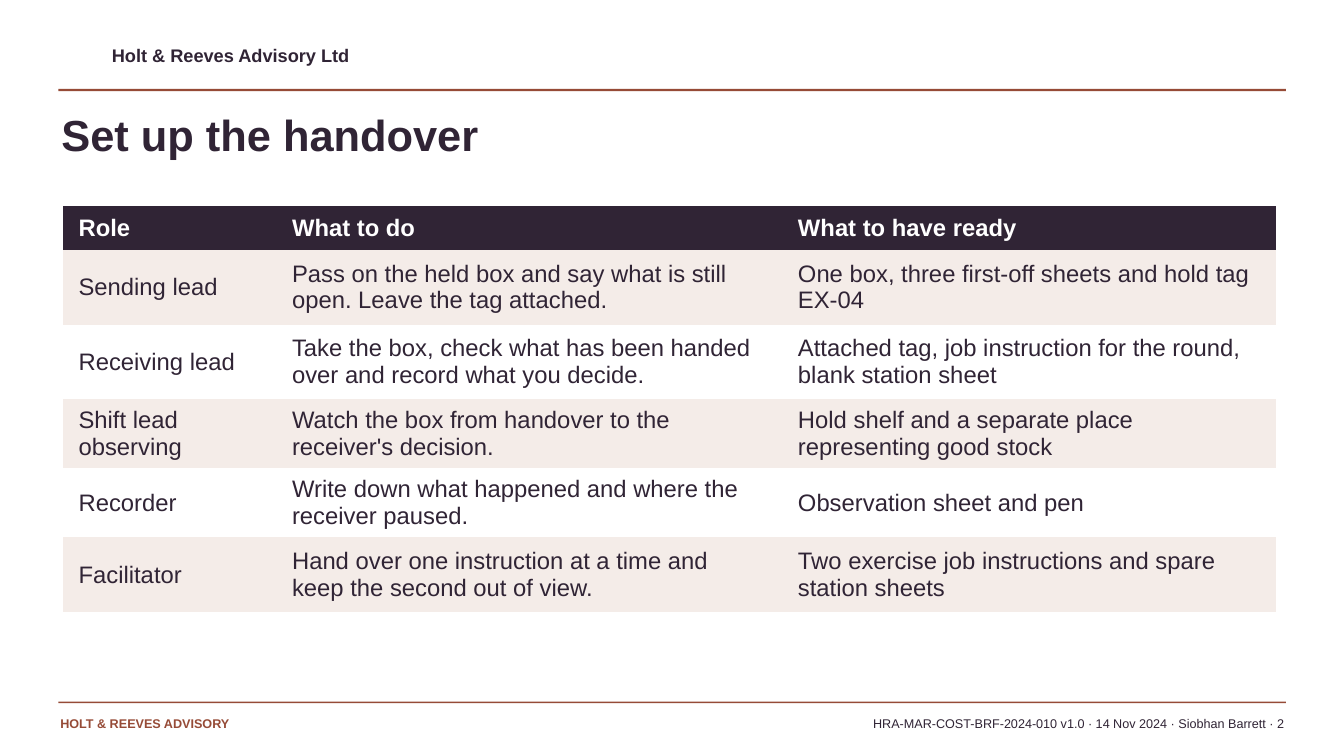
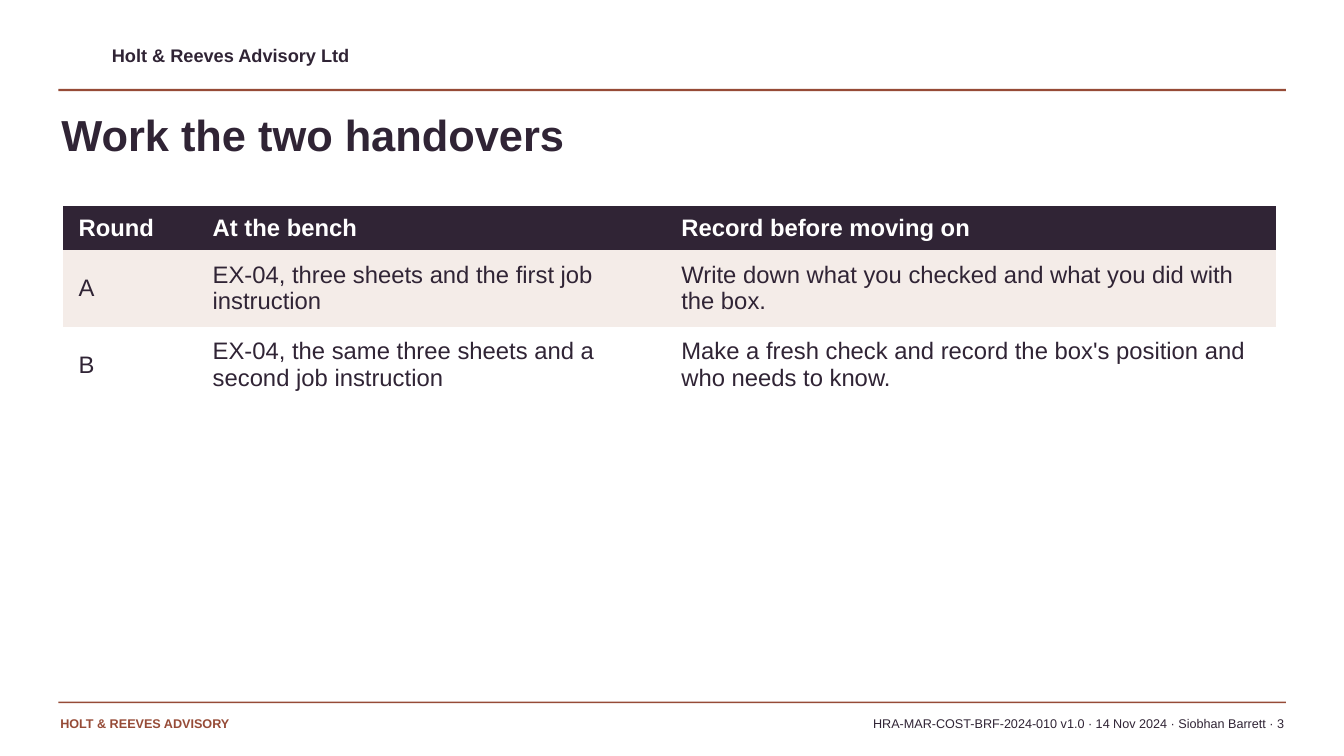
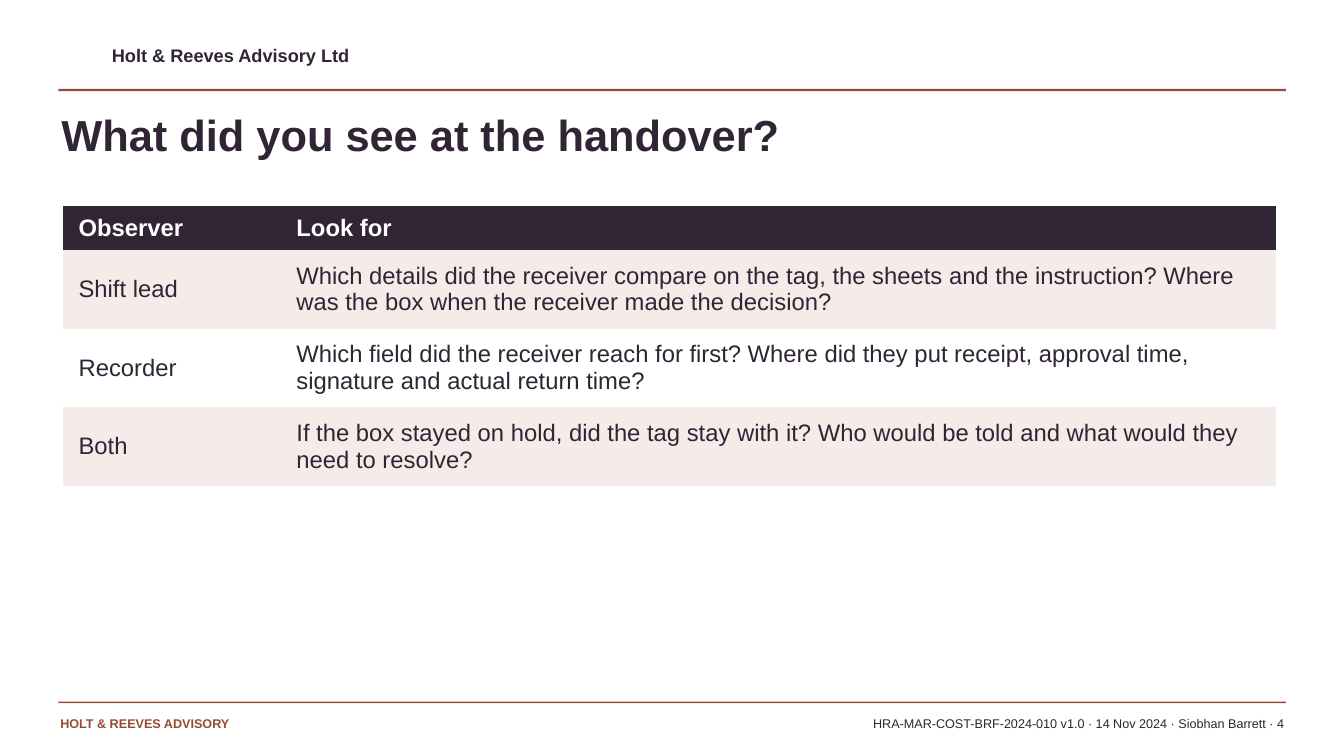
from dataclasses import dataclass

from pptx import Presentation
from pptx.dml.color import RGBColor
from pptx.enum.shapes import MSO_SHAPE
from pptx.enum.text import MSO_ANCHOR, PP_ALIGN
from pptx.oxml.ns import qn
from pptx.slide import Slide
from pptx.text.text import TextFrame
from pptx.util import Cm, Pt

COLORS = {
    "plum": "302435",
    "brick": "964B37",
    "blush": "F4ECE8",
    "white": "FFFFFF",
}
FONT = "Arial"
PLAIN_TABLE_STYLE = "{2D5ABB26-0587-4C30-8999-92F81FD0307C}"
TABLE_LEFT, TABLE_TOP, TABLE_WIDTH = 1.58, 5.18, 30.58
HEADER_HEIGHT = 1.12
REFERENCE = "HRA-MAR-COST-BRF-2024-010 v1.0 · 14 Nov 2024 · Siobhan Barrett"
FIRST_PAGE = 2


@dataclass(frozen=True)
class Box:
    left: float
    top: float
    width: float
    height: float

    def lengths(self) -> tuple[Cm, Cm, Cm, Cm]:
        return Cm(self.left), Cm(self.top), Cm(self.width), Cm(self.height)


@dataclass(frozen=True)
class TextStyle:
    size: float
    color: str
    bold: bool = False
    align: PP_ALIGN = PP_ALIGN.LEFT


@dataclass(frozen=True)
class Label:
    box: Box
    text: str
    style: TextStyle


@dataclass(frozen=True)
class Row:
    height: float
    cells: tuple[str, ...]


@dataclass(frozen=True)
class Page:
    title: str
    leading_widths: tuple[float, ...]
    headings: tuple[str, ...]
    rows: tuple[Row, ...]


TITLE_BOX = Box(1.55, 2.72, 30.48, 1.98)
REFERENCE_BOX = Box(10.46, 18.03, 21.9, 0.64)
TITLE_STYLE = TextStyle(31, "plum", bold=True)
REFERENCE_STYLE = TextStyle(9, "plum", align=PP_ALIGN.RIGHT)
HEADING_STYLE = TextStyle(17, "white", bold=True)
CELL_STYLE = TextStyle(17, "plum")

RULES = (
    Box(1.47, 2.24, 30.94, 0.06),
    Box(1.47, 17.68, 30.94, 0.04),
)
LABELS = (
    Label(Box(2.82, 1.12, 15.24, 0.69), "Holt & Reeves Advisory Ltd",
          TextStyle(13, "plum", bold=True)),
    Label(Box(1.52, 18.03, 8.64, 0.64), "HOLT & REEVES ADVISORY",
          TextStyle(9, "brick", bold=True)),
)

PAGES = (
    Page(
        "Set up the handover",
        (5.38, 12.75),
        ("Role", "What to do", "What to have ready"),
        (
            Row(1.88, (
                "Sending lead",
                "Pass on the held box and say what is still open. Leave the tag attached.",
                "One box, three first-off sheets and hold tag EX-04",
            )),
            Row(1.88, (
                "Receiving lead",
                "Take the box, check what has been handed over and record what you decide.",
                "Attached tag, job instruction for the round, blank station sheet",
            )),
            Row(1.72, (
                "Shift lead observing",
                "Watch the box from handover to the receiver's decision.",
                "Hold shelf and a separate place representing good stock",
            )),
            Row(1.72, (
                "Recorder",
                "Write down what happened and where the receiver paused.",
                "Observation sheet and pen",
            )),
            Row(1.88, (
                "Facilitator",
                "Hand over one instruction at a time and keep the second out of view.",
                "Two exercise job instructions and spare station sheets",
            )),
        ),
    ),
    Page(
        "Work the two handovers",
        (3.38, 11.81),
        ("Round", "At the bench", "Record before moving on"),
        (
            Row(1.93, (
                "A",
                "EX-04, three sheets and the first job instruction",
                "Write down what you checked and what you did with the box.",
            )),
            Row(1.93, (
                "B",
                "EX-04, the same three sheets and a second job instruction",
                "Make a fresh check and record the box's position and who needs to know.",
            )),
        ),
    ),
    Page(
        "What did you see at the handover?",
        (5.49,),
        ("Observer", "Look for"),
        (
            Row(1.98, (
                "Shift lead",
                "Which details did the receiver compare on the tag, the sheets and the "
                "instruction? Where was the box when the receiver made the decision?",
            )),
            Row(1.98, (
                "Recorder",
                "Which field did the receiver reach for first? Where did they put "
                "receipt, approval time, signature and actual return time?",
            )),
            Row(1.98, (
                "Both",
                "If the box stayed on hold, did the tag stay with it? Who would be told "
                "and what would they need to resolve?",
            )),
        ),
    ),
)


def rgb(color: str) -> RGBColor:
    return RGBColor.from_string(COLORS[color])


def write(frame: TextFrame, text: str, style: TextStyle) -> None:
    frame.text = text
    frame.word_wrap = True
    paragraph = frame.paragraphs[0]
    paragraph.alignment = style.align
    font = paragraph.runs[0].font
    font.name = FONT
    font.size = Pt(style.size)
    font.bold = style.bold
    font.color.rgb = rgb(style.color)


def draw_rule(slide: Slide, box: Box) -> None:
    rule = slide.shapes.add_shape(MSO_SHAPE.RECTANGLE, *box.lengths())
    rule.shadow.inherit = False
    rule.fill.solid()
    rule.fill.fore_color.rgb = rgb("brick")
    rule.line.fill.background()


def draw_label(slide: Slide, label: Label) -> None:
    frame = slide.shapes.add_textbox(*label.box.lengths()).text_frame
    frame.margin_left = frame.margin_right = Cm(0)
    frame.margin_top = frame.margin_bottom = Cm(0)
    write(frame, label.text, label.style)


def draw_table(slide: Slide, page: Page) -> None:
    rows = (Row(HEADER_HEIGHT, page.headings), *page.rows)
    widths = (*page.leading_widths, TABLE_WIDTH - sum(page.leading_widths))
    box = Box(TABLE_LEFT, TABLE_TOP, TABLE_WIDTH, sum(row.height for row in rows))
    table = slide.shapes.add_table(len(rows), len(widths), *box.lengths()).table
    table.horz_banding = False
    table._tbl.tblPr.find(qn("a:tableStyleId")).text = PLAIN_TABLE_STYLE
    for column, width in zip(table.columns, widths):
        column.width = Cm(width)
    for index, row in enumerate(rows):
        table.rows[index].height = Cm(row.height)
        fill = "plum" if index == 0 else "blush" if index % 2 else "white"
        style = HEADING_STYLE if index == 0 else CELL_STYLE
        for cell, text in zip(table.rows[index].cells, row.cells):
            cell.fill.solid()
            cell.fill.fore_color.rgb = rgb(fill)
            cell.vertical_anchor = MSO_ANCHOR.MIDDLE
            cell.margin_left = cell.margin_right = Cm(0.4)
            cell.margin_top = cell.margin_bottom = Cm(0.15)
            write(cell.text_frame, text, style)


def draw_page(slide: Slide, page: Page, number: int) -> None:
    for rule_box in RULES:
        draw_rule(slide, rule_box)
    for label in LABELS:
        draw_label(slide, label)
    draw_label(slide, Label(TITLE_BOX, page.title, TITLE_STYLE))
    draw_table(slide, page)
    draw_label(slide, Label(REFERENCE_BOX, f"{REFERENCE} · {number}", REFERENCE_STYLE))


def main() -> None:
    deck = Presentation()
    deck.slide_width = Cm(33.87)
    deck.slide_height = Cm(19.05)
    blank = deck.slide_layouts[6]
    for number, page in enumerate(PAGES, FIRST_PAGE):
        draw_page(deck.slides.add_slide(blank), page, number)
    deck.save("out.pptx")


if __name__ == "__main__":
    main()
